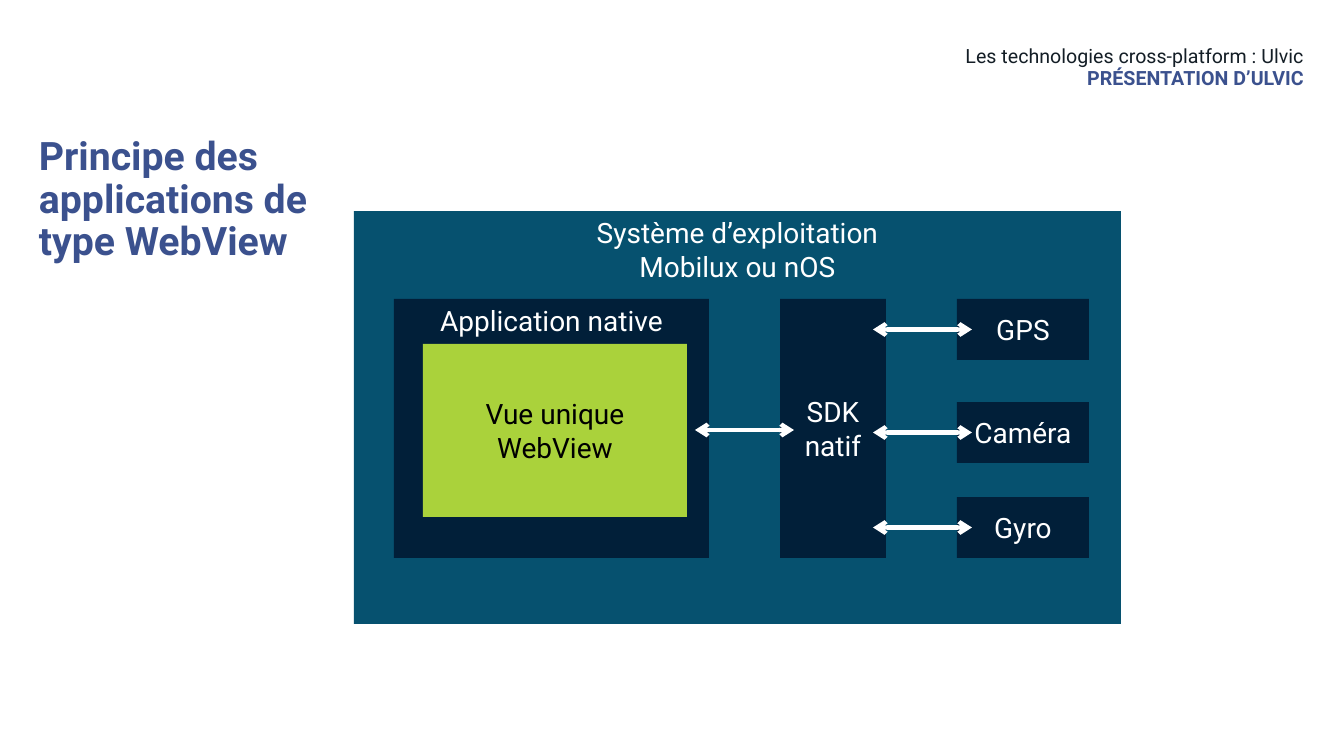
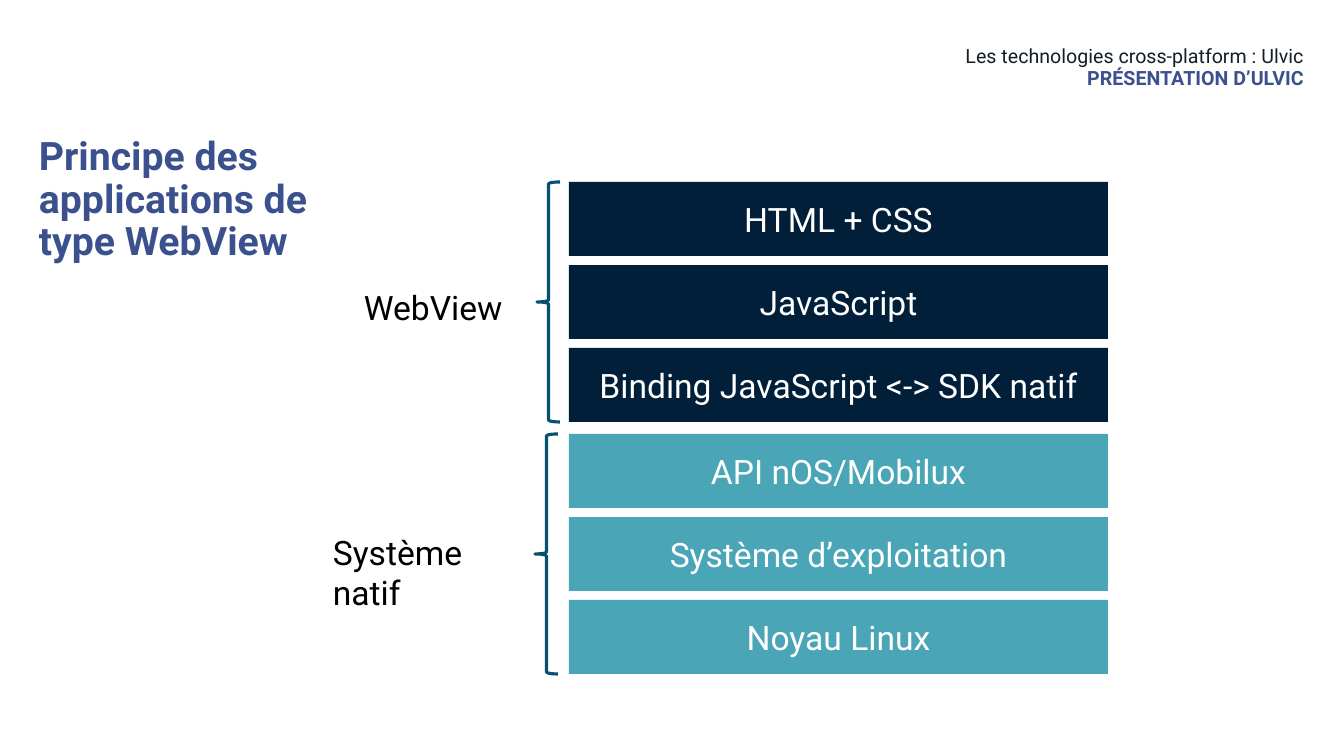
from lxml import etree
from pptx import Presentation
from pptx.dml.color import RGBColor
from pptx.enum.shapes import MSO_CONNECTOR, MSO_SHAPE
from pptx.enum.text import MSO_ANCHOR, PP_ALIGN
from pptx.oxml.ns import qn
from pptx.util import Emu, Pt

RECT, BRACE = MSO_SHAPE.RECTANGLE, MSO_SHAPE.LEFT_BRACE
STRAIGHT = MSO_CONNECTOR.STRAIGHT
TOP, MIDDLE = MSO_ANCHOR.TOP, MSO_ANCHOR.MIDDLE
LEFT, CENTER, RIGHT = PP_ALIGN.LEFT, PP_ALIGN.CENTER, PP_ALIGN.RIGHT

WHITE = RGBColor(0xFF, 0xFF, 0xFF)
BLACK = RGBColor(0, 0, 0)
INK = RGBColor(0x14, 0x1E, 0x26)
INDIGO = RGBColor(0x3B, 0x51, 0x8E)
NAVY = RGBColor(0x01, 0x1F, 0x39)
PETROL = RGBColor(0x06, 0x51, 0x6F)
TEAL = RGBColor(0x4A, 0xA5, 0xB7)
LIME = RGBColor(0xAA, 0xD2, 0x3B)

# Shared content and text styles
TITLE = "Principe des applications de type WebView"
COURSE = "Les technologies cross-platform : Ulvic"
CHAPTER = "PRÉSENTATION D’ULVIC"
TITLE_STYLE = {"size": Pt(28), "color": INDIGO, "bold": True}
COURSE_STYLE = {"size": Pt(14), "color": INK}
CHAPTER_STYLE = {"size": Pt(14), "color": INDIGO, "bold": True}
DIAGRAM_STYLE = {"size": Pt(20), "color": WHITE}
VIEW_STYLE = {"size": Pt(20), "color": BLACK}
LAYER_STYLE = {"size": Pt(24), "color": WHITE}
LABEL_STYLE = {"size": Pt(24), "color": BLACK}

# Architecture: lines, (left, top, width, height), fill, anchor, style
BLOCKS = [
    (["Système d’exploitation", "Mobilux ou nOS"], (354, 211, 767, 413),
     PETROL, TOP, DIAGRAM_STYLE),
    (["Application native"], (394, 299, 315, 259), NAVY, TOP, DIAGRAM_STYLE),
    (["Vue unique", "WebView"], (423, 344, 264, 173), LIME, MIDDLE, VIEW_STYLE),
    (["SDK", "natif"], (780, 299, 106, 259), NAVY, MIDDLE, DIAGRAM_STYLE),
]
DEVICES = [("GPS", 299), ("Caméra", 402), ("Gyro", 497)]
DEVICE_LEFT, DEVICE_WIDTH, DEVICE_HEIGHT = 957, 132, 61
ARROW_LENGTH = 99
VIEW_ARROW = (695, 430)
DEVICE_ARROW_LEFT = 873

# Layers: label, label position, brace left, stack top, fill, layer names
STACKS = [
    ("WebView", (354, 282), 537, 182, NAVY,
     ["HTML + CSS", "JavaScript", "Binding JavaScript <-> SDK natif"]),
    ("Système natif", (323, 527), 535, 434, TEAL,
     ["API nOS/Mobilux", "Système d’exploitation", "Noyau Linux"]),
]
LAYER_LEFT, LAYER_WIDTH, LAYER_HEIGHT, LAYER_PITCH = 569, 539, 74, 83
BRACE_WIDTH, LABEL_WIDTH, LABEL_HEIGHT = 23, 180, 50


def px(value):
    return Emu(round(value * 914400 / 100.8))


def write(shape, lines, align, anchor=TOP, spacing=None, inset=None):
    """Fill a shape with one paragraph per (text, style) pair."""
    frame = shape.text_frame
    frame.word_wrap = True
    frame.vertical_anchor = anchor
    if inset is not None:
        for side in ("left", "top", "right", "bottom"):
            setattr(frame, f"margin_{side}", inset)
    for index, (text, style) in enumerate(lines):
        para = frame.add_paragraph() if index else frame.paragraphs[0]
        para.alignment = align
        if spacing:
            para.line_spacing = spacing
        span = para.add_run()
        span.text = text
        span.font.name = "Roboto"
        for name, value in style.items():
            if name == "color":
                span.font.color.rgb = value
            else:
                setattr(span.font, name, value)


def add_text(page, area, lines, align=LEFT, **options):
    box = page.shapes.add_textbox(*map(px, area))
    write(box, lines, align, **options)


def add_block(page, area, lines, fill, style, anchor=MIDDLE):
    block = page.shapes.add_shape(RECT, *map(px, area))
    block.shadow.inherit = False
    block.fill.solid()
    block.fill.fore_color.rgb = fill
    block.line.fill.background()
    write(block, [(line, style) for line in lines], CENTER, anchor)


def add_brace(page, area):
    brace = page.shapes.add_shape(BRACE, *map(px, area))
    brace.shadow.inherit = False
    brace.fill.background()
    brace.line.color.rgb = PETROL
    brace.line.width = Pt(2.25)


def add_double_arrow(page, left, y):
    arrow = page.shapes.add_connector(
        STRAIGHT, px(left), px(y), px(left + ARROW_LENGTH), px(y))
    arrow.line.color.rgb = WHITE
    arrow.line.width = Pt(3)
    properties = arrow.element.spPr
    outline = properties.find(qn("a:ln"))
    for end in ("a:headEnd", "a:tailEnd"):
        etree.SubElement(outline, qn(end), type="arrow")
    etree.SubElement(properties, qn("a:effectLst"))


def add_page(deck):
    """Add a slide with the shared title and header."""
    page = deck.slides.add_slide(deck.slide_layouts[6])
    add_text(page, (39, 137, 314, 488), [(TITLE, TITLE_STYLE)],
             spacing=0.9, inset=0)
    add_text(page, (421, 47, 883, 59),
             [(COURSE, COURSE_STYLE), (CHAPTER, CHAPTER_STYLE)],
             RIGHT, spacing=0.9, inset=0)
    return page


def build_architecture(deck):
    page = add_page(deck)
    for lines, area, fill, anchor, style in BLOCKS:
        add_block(page, area, lines, fill, style, anchor)
    add_double_arrow(page, *VIEW_ARROW)
    for name, top in DEVICES:
        add_block(page, (DEVICE_LEFT, top, DEVICE_WIDTH, DEVICE_HEIGHT),
                  [name], NAVY, DIAGRAM_STYLE)
        add_double_arrow(page, DEVICE_ARROW_LEFT, top + DEVICE_HEIGHT / 2)


def build_layers(deck):
    page = add_page(deck)
    for label, position, brace_left, top, fill, names in STACKS:
        for index, name in enumerate(names):
            area = (LAYER_LEFT, top + index * LAYER_PITCH,
                    LAYER_WIDTH, LAYER_HEIGHT)
            add_block(page, area, [name], fill, LAYER_STYLE)
        height = (len(names) - 1) * LAYER_PITCH + LAYER_HEIGHT
        add_brace(page, (brace_left, top, BRACE_WIDTH, height))
        add_text(page, (*position, LABEL_WIDTH, LABEL_HEIGHT),
                 [(label, LABEL_STYLE)])


def main():
    deck = Presentation()
    deck.slide_width, deck.slide_height = px(1344), px(756)
    build_architecture(deck)
    build_layers(deck)
    deck.save("out.pptx")


if __name__ == "__main__":
    main()
